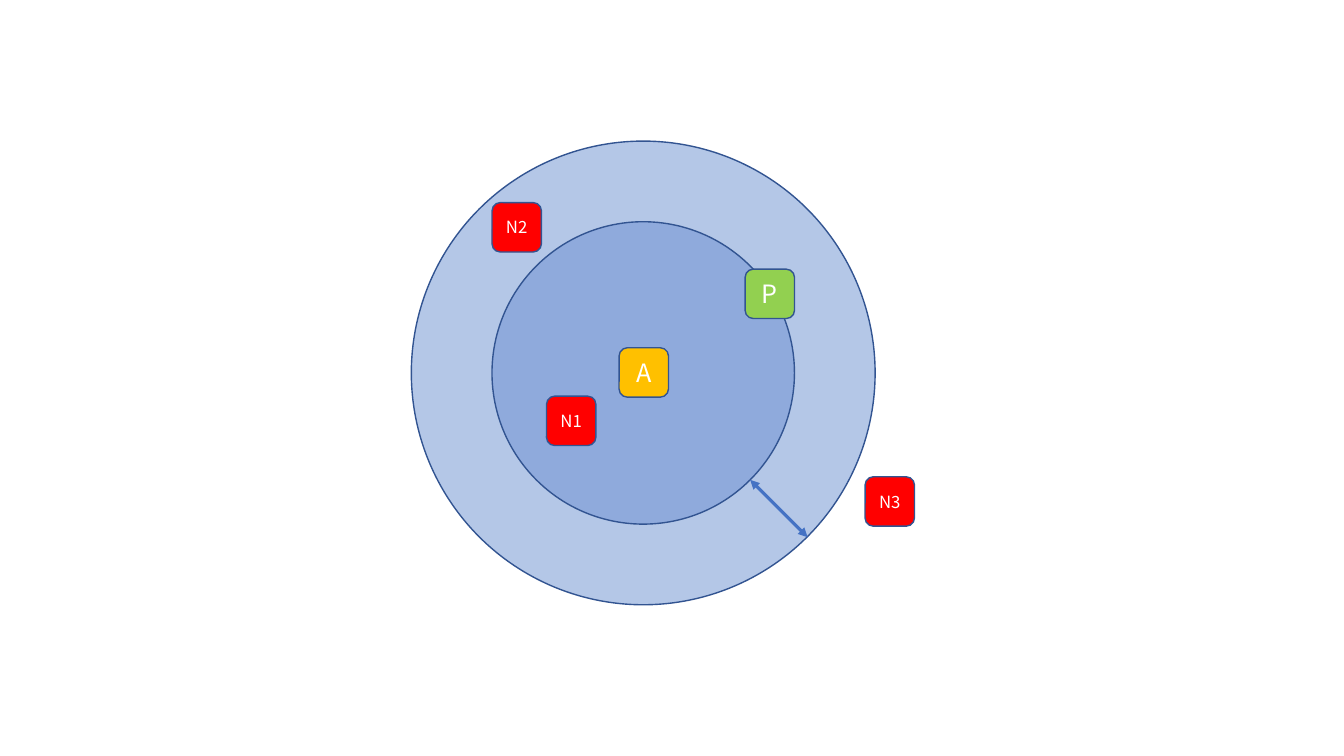
"""Draw an anchor, its positive and three negatives around a triplet-loss margin."""
from dataclasses import dataclass
from math import cos, pi

from lxml.etree import SubElement
from pptx import Presentation
from pptx.dml.color import RGBColor
from pptx.enum.shapes import MSO_CONNECTOR as Connector, MSO_SHAPE as Preset
from pptx.enum.text import MSO_ANCHOR as Anchor, PP_ALIGN as Align
from pptx.oxml.ns import qn
from pptx.util import Pt

EMU_PER_PX = 9144
FONT = "Noto Sans CJK KR"
OUTLINE = "325491"
NEGATIVE = "FF0000"
CENTRE_X, CENTRE_Y = 638, 370
TILE_SIDE = 49


@dataclass(frozen=True)
class Zone:
    radius: int
    fill: str


@dataclass(frozen=True)
class Sample:
    label: str
    left: int
    top: int
    fill: str
    size: int = 12


ZONES = [Zone(230, "B4C7E7"), Zone(150, "8FAADC")]
SAMPLES = [
    Sample("A", 614, 345, "FFC000", 18),
    Sample("P", 739, 267, "92D050", 18),
    Sample("N1", 542, 393, NEGATIVE),
    Sample("N2", 488, 201, NEGATIVE),
    Sample("N3", 858, 473, NEGATIVE),
]


def px(length: int) -> int:
    return length * EMU_PER_PX


def colour(code: str) -> RGBColor:
    return RGBColor.from_string(code)


def add_outlined(slide, preset, left: int, top: int, side: int, fill: str):
    shape = slide.shapes.add_shape(preset, px(left), px(top), px(side), px(side))
    shape.shadow.inherit = False
    shape.fill.solid()
    shape.fill.fore_color.rgb = colour(fill)
    shape.line.color.rgb = colour(OUTLINE)
    shape.line.width = Pt(1)
    return shape


def write(shape, text: str, *, size: int, ink: str = "FFFFFF") -> None:
    frame = shape.text_frame
    frame.vertical_anchor = Anchor.MIDDLE
    paragraph = frame.paragraphs[0]
    paragraph.alignment = Align.CENTER
    run = paragraph.add_run()
    run.text = text
    run.font.name = FONT
    run.font.size = Pt(size)
    run.font.color.rgb = colour(ink)


def draw_zone(slide, zone: Zone) -> None:
    add_outlined(slide, Preset.OVAL, CENTRE_X - zone.radius,
                 CENTRE_Y - zone.radius, 2 * zone.radius, zone.fill)


def draw_sample(slide, sample: Sample) -> None:
    tile = add_outlined(slide, Preset.ROUNDED_RECTANGLE, sample.left, sample.top,
                        TILE_SIDE, sample.fill)
    write(tile, sample.label, size=sample.size)


def draw_margin(slide, outer: Zone, inner: Zone) -> None:
    near, far = (round(zone.radius * cos(pi / 4)) for zone in (inner, outer))
    margin = slide.shapes.add_connector(
        Connector.STRAIGHT, px(CENTRE_X + near), px(CENTRE_Y + near),
        px(CENTRE_X + far), px(CENTRE_Y + far))
    margin.line.color.rgb = colour("4472C4")
    margin.line.width = Pt(2.25)
    stroke = margin.line._get_or_add_ln()
    for end in ("a:headEnd", "a:tailEnd"):
        SubElement(stroke, qn(end), type="triangle")
    SubElement(margin._element.spPr, qn("a:effectLst"))


def main() -> None:
    deck = Presentation()
    deck.slide_width, deck.slide_height = px(1333), px(750)
    slide = deck.slides.add_slide(deck.slide_layouts[6])
    for zone in ZONES:
        draw_zone(slide, zone)
    for sample in SAMPLES:
        draw_sample(slide, sample)
    draw_margin(slide, *ZONES)
    deck.save("out.pptx")


if __name__ == "__main__":
    main()
